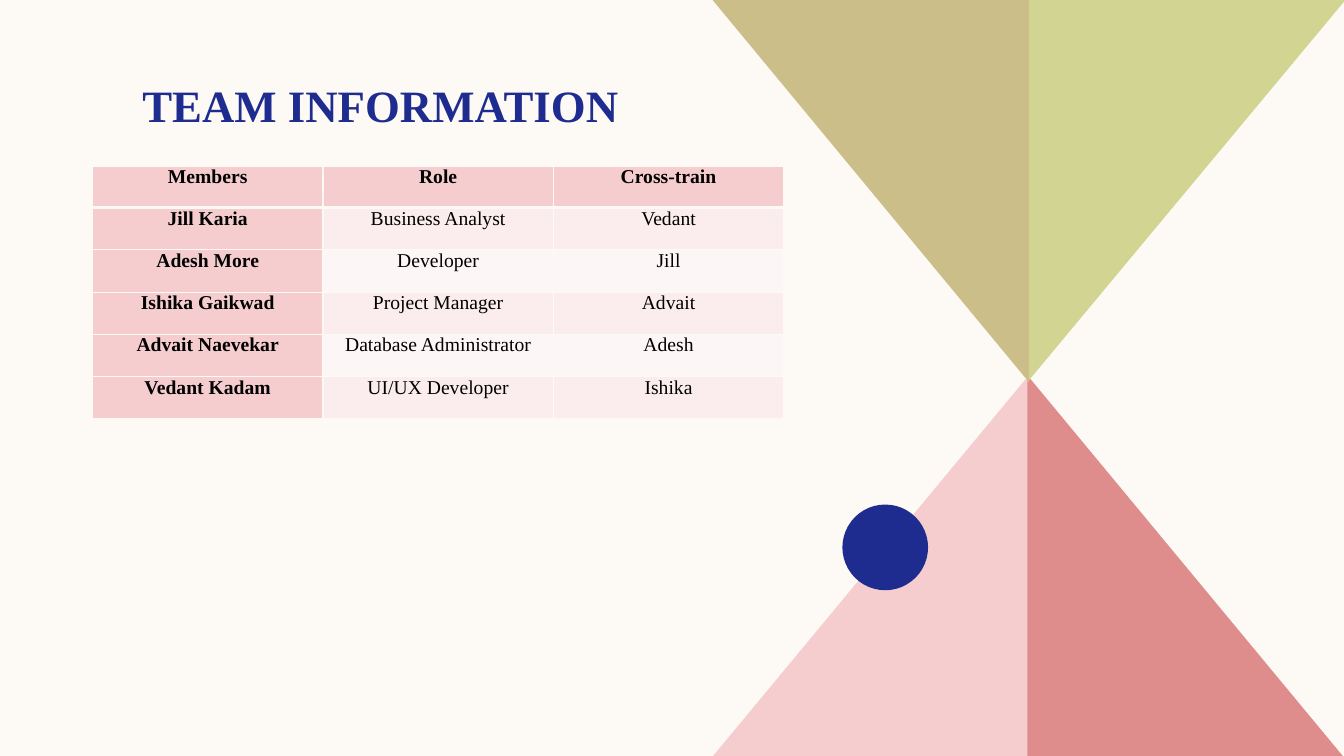
from lxml.etree import SubElement
from pptx import Presentation
from pptx.dml.color import RGBColor
from pptx.enum.shapes import MSO_SHAPE as Shape
from pptx.enum.text import MSO_ANCHOR as Anchor, PP_ALIGN as Align
from pptx.oxml.ns import qn
from pptx.util import Pt

COLOURS = {
    "cream": "FDFAF6", "navy": "1F2C8F", "black": "000000",
    "pink": "F5CDCE", "rose": "DE8C8C", "lime": "D2D592", "khaki": "CCBE89",
    "blush": "FBEDED", "pale": "FDF6F6",
}

TEAM = [
    ("Members", "Role", "Cross-train"),
    ("Jill Karia", "Business Analyst", "Vedant"),
    ("Adesh More", "Developer", "Jill"),
    ("Ishika Gaikwad", "Project Manager", "Advait"),
    ("Advait Naevekar", "Database Administrator", "Adesh"),
    ("Vedant Kadam", "UI/UX Developer", "Ishika"),
]


class SlideBuilder:
    font = "Times New Roman"

    def __init__(self, slide):
        self.slide = slide
        background = slide.background.fill
        background.solid()
        background.fore_color.rgb = self.colour("cream")

    def colour(self, name):
        return RGBColor.from_string(COLOURS[name])

    def paint(self, shape, colour):
        shape.shadow.inherit = False
        shape.fill.solid()
        shape.fill.fore_color.rgb = self.colour(colour)
        shape.line.fill.background()

    def add_text(self, frame, text, size, colour, bold):
        paragraph = frame.paragraphs[0]
        paragraph.alignment = Align.CENTER
        run = paragraph.add_run()
        run.text = text
        run.font.name = self.font
        run.font.size = Pt(size)
        run.font.bold = bold
        run.font.color.rgb = self.colour(colour)

    def title(self, text, left, top, width, height):
        heading = self.slide.shapes.title
        heading.left, heading.top = Pt(left), Pt(top)
        heading.width, heading.height = Pt(width), Pt(height)
        frame = heading.text_frame
        frame.word_wrap = True
        frame.vertical_anchor = Anchor.TOP
        frame.margin_top = Pt(7.2)
        self.add_text(frame, text, 32, "navy", True)

    def triangle(self, corners, colour):
        start, *others = [(Pt(x), Pt(y)) for x, y in corners]
        outline = self.slide.shapes.build_freeform(*start)
        outline.add_line_segments(others, close=True)
        self.paint(outline.convert_to_shape(), colour)

    def circle(self, left, top, diameter, colour):
        dot = self.slide.shapes.add_shape(
            Shape.OVAL, Pt(left), Pt(top), Pt(diameter), Pt(diameter))
        self.paint(dot, colour)

    def border(self, cell, side, width):
        line = SubElement(cell._tc.get_or_add_tcPr(), qn(f"a:ln{side}"), w=str(Pt(width)))
        fill = SubElement(line, qn("a:solidFill"))
        SubElement(fill, qn("a:srgbClr"), val=COLOURS["cream"])

    def table(self, rows, left, top, column_width, header_height, row_height):
        columns = len(rows[0])
        height = header_height + row_height * (len(rows) - 1)
        grid = self.slide.shapes.add_table(
            len(rows), columns, Pt(left), Pt(top),
            Pt(column_width * columns), Pt(height)).table
        for column in grid.columns:
            column.width = Pt(column_width)
        for r, texts in enumerate(rows):
            grid.rows[r].height = Pt(row_height if r else header_height)
            for c, text in enumerate(texts):
                cell = grid.cell(r, c)
                is_heading = r == 0 or c == 0
                cell.margin_left = cell.margin_right = Pt(4.5)
                cell.margin_top = cell.margin_bottom = 0
                cell.vertical_anchor = Anchor.TOP
                # A thicker rule separates the header from the members
                widths = {"L": 1, "R": 1, "T": 3 if r == 1 else 1, "B": 1 if r else 3}
                for side, width in widths.items():
                    self.border(cell, side, width)
                cell.fill.solid()
                band = "blush" if r % 2 else "pale"
                cell.fill.fore_color.rgb = self.colour("pink" if is_heading else band)
                self.add_text(cell.text_frame, text, 14, "black", is_heading)


def main():
    deck = Presentation()
    deck.slide_width, deck.slide_height = Pt(960), Pt(540)
    team = SlideBuilder(deck.slides.add_slide(deck.slide_layouts[5]))

    # Hourglass of four right triangles
    left, right, bottom = 508.5, 960, 541
    lower_apex, upper_apex = 268, 273
    seam_left, seam_right = 733.8, 735
    team.triangle([(seam_right, lower_apex), (left, bottom), (seam_right, bottom)], "pink")
    team.triangle([(seam_left, lower_apex), (right, bottom), (seam_left, bottom)], "rose")
    team.triangle([(seam_left, upper_apex), (right + 1, 0), (seam_left, 0)], "lime")
    team.triangle([(seam_right, upper_apex), (left + 0.5, 0), (seam_right, 0)], "khaki")
    team.circle(601.7, 360.4, 61.2, "navy")

    # Heading and team table
    team.title("TEAM INFORMATION", 47.5, 48.2, 448.6, 60.5)
    team.table(TEAM, 66.1, 118.8, 164.6, 29.5, 30.2)

    deck.save("out.pptx")


if __name__ == "__main__":
    main()
